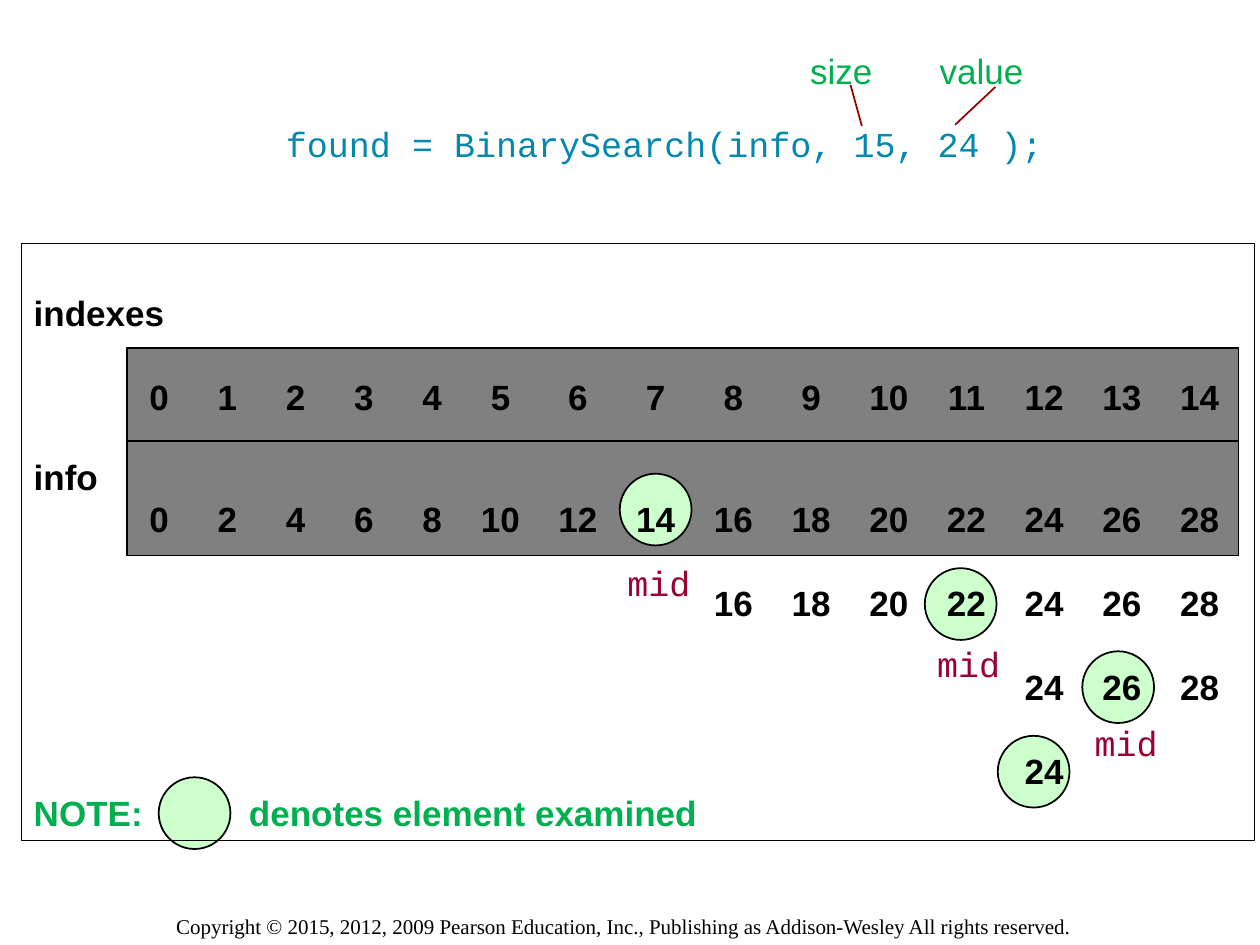
import pptx
import pptx.util
import pptx.dml.color
import pptx.enum.shapes
import pptx.enum.text
import pptx.oxml.ns
from lxml import etree

Pt = pptx.util.Pt
SHAPE = pptx.enum.shapes.MSO_SHAPE
COLORS = {"code": "0488AE", "green": "00B050", "mid": "990033", "pointer": "990000",
          "circle": "CCFFCC", "band": "808080", "black": "000000"}
# Tab stops of the 15 array columns: one-digit columns are narrower
COLUMNS = [71.7 + 39 * i if i < 6 else 311 + 44.4 * (i - 6) for i in range(15)]


def rgb(name):
    return pptx.dml.color.RGBColor.from_string(COLORS[name])


def write(p, text, font, color, size=20, bold=False, tabs=(), align="l"):
    """Fill a paragraph; tabs are stops in points, all with the same alignment."""
    p.text = text
    p.alignment = pptx.enum.text.PP_ALIGN.LEFT
    if tabs:
        tab_list = etree.SubElement(p._p.get_or_add_pPr(), pptx.oxml.ns.qn("a:tabLst"))
        for pos in tabs:
            etree.SubElement(tab_list, pptx.oxml.ns.qn("a:tab"), pos=str(int(Pt(pos))), algn=align)
    for r in p.runs:
        r.font.name, r.font.size, r.font.bold = font, Pt(size), bold
        r.font.color.rgb = rgb(color)


prs = pptx.Presentation()
prs.slide_width, prs.slide_height = Pt(720), Pt(540)
s = prs.slides.add_slide(prs.slide_layouts[5])

# Title: the call
title = s.shapes.title
title.left, title.top, title.width, title.height = Pt(156.2), Pt(57.6), Pt(509.8), Pt(38.2)
tf = title.text_frame
tf.vertical_anchor = pptx.enum.text.MSO_ANCHOR.MIDDLE
tf.margin_top, tf.margin_bottom = Pt(10.8), 0
write(tf.paragraphs[0], "found = BinarySearch(info, 15, 24 );", "Courier New", "code")

# Band behind the two array rows, and the circles
shapes = [(SHAPE.RECTANGLE, 72.7, 198.7, 635, 118.8, "band")]
for x, y in [(90.7, 444.2), (354.2, 270.7), (528.5, 324.7), (570.2, 420.5), (618.5, 372.2)]:
    shapes.append((SHAPE.OVAL, x, y, 41, 41, "circle"))
for kind, x, y, w, h, fill in shapes:
    sp = s.shapes.add_shape(kind, Pt(x), Pt(y), Pt(w), Pt(h))
    sp.shadow.inherit = False
    sp.fill.solid()
    sp.fill.fore_color.rgb = rgb(fill)
    sp.line.color.rgb = rgb("black")
    sp.line.width = Pt(1)

# Divider of the band and the argument pointers
for x1, y1, x2, y2, color in [(72.7, 252, 707.7, 252, "black"),
                              (486, 48.5, 492.5, 72, "pointer"),
                              (568.8, 49.7, 545.8, 71.3, "pointer")]:
    line = s.shapes.add_connector(pptx.enum.shapes.MSO_CONNECTOR.STRAIGHT,
                                  Pt(x1), Pt(y1), Pt(x2), Pt(y2))
    line.line.color.rgb = rgb(color)
    line.line.width = Pt(1)
    etree.SubElement(line._element.spPr, pptx.oxml.ns.qn("a:effectLst"))

# Framed search trace: text, colour, tab stops, tab alignment, space before
rows = [("indexes", "black", [], "l", 0)]
for values, before in [(range(15), 24), (None, 21.6), (range(0, 30, 2), 0),
                       (range(16, 30, 2), 24), (range(24, 30, 2), 24), ([24], 24)]:
    if values is None:
        rows.append(("info", "black", [], "l", before))
        continue
    first = values[0] // 2
    text = "".join(f"\t{v}" for v in values)
    rows.append((text, "black", COLUMNS[first:first + len(values)], "ctr", before))
rows.append(("NOTE:\tdenotes element examined", "green", [123], "l", 0))

frame = s.shapes.add_shape(SHAPE.RECTANGLE, Pt(12.2), Pt(139), Pt(704.9), Pt(341.3))
frame.shadow.inherit = False
frame.fill.background()
frame.line.color.rgb = rgb("black")
frame.line.width = Pt(0.75)
tf = frame.text_frame
tf.word_wrap = True
tf.vertical_anchor = pptx.enum.text.MSO_ANCHOR.TOP
tf.margin_top = Pt(27.6)
for i, (text, color, tabs, align, before) in enumerate(rows):
    p = tf.add_paragraph() if i else tf.paragraphs[0]
    p.line_spacing = Pt(24)
    p.space_before = Pt(before)
    write(p, text, "Arial", color, bold=True, tabs=tabs, align=align)

# Labels and footer
labels = [("size\tvalue", 455.8, 25, 165, 31.7, "Arial", "green", 20, [74]),
          ("Copyright © 2015, 2012, 2009 Pearson Education, Inc., Publishing as "
           "Addison-Wesley All rights reserved.",
           93.6, 518.4, 534.2, 21.6, "Times New Roman", "black", 12, [])]
for x, y in [(351.4, 317.5), (528.5, 363.6), (618.5, 409)]:
    labels.append(("mid", x, y, 52, 31.7, "Courier New", "mid", 20, []))
for text, x, y, w, h, font, color, size, tabs in labels:
    tf = s.shapes.add_textbox(Pt(x), Pt(y), Pt(w), Pt(h)).text_frame
    tf.word_wrap = True
    write(tf.paragraphs[0], text, font, color, size, tabs=tabs)

prs.save("out.pptx")
